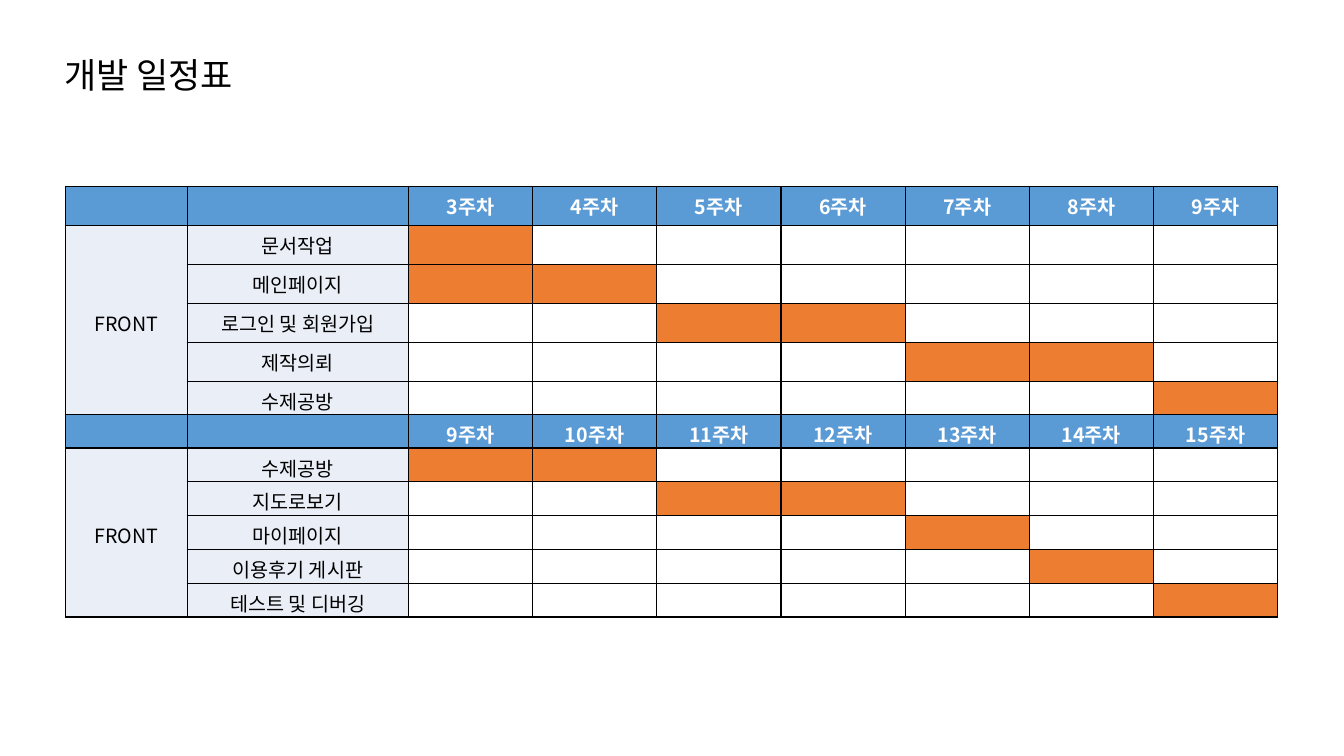
from dataclasses import dataclass

import lxml.etree
import pptx
import pptx.dml.color
import pptx.enum.text
import pptx.oxml.ns
import pptx.slide
import pptx.table
import pptx.text.text
import pptx.util

Cm = pptx.util.Cm
Pt = pptx.util.Pt
RGBColor = pptx.dml.color.RGBColor
Align = pptx.enum.text.PP_ALIGN
Anchor = pptx.enum.text.MSO_ANCHOR
qn = pptx.oxml.ns.qn

FONT = "Noto Sans CJK KR"
BLUE = RGBColor(0x5B, 0x9B, 0xD5)
PALE = RGBColor(0xEA, 0xEF, 0xF7)
ORANGE = RGBColor(0xED, 0x7D, 0x31)
WHITE = RGBColor(0xFF, 0xFF, 0xFF)
BLACK = RGBColor(0x00, 0x00, 0x00)

LEFT = 1.65
WEEKS = 7
WIDTHS = [3.07, 5.57] + [3.13] * WEEKS


@dataclass
class Task:
    name: str
    start: int
    end: int


@dataclass
class Plan:
    top: float
    height: float
    base: float
    first: int
    tasks: list[Task]


PLANS = [
    Plan(4.7, 0.98, 0.13, 3, [
        Task("문서작업", 3, 3),
        Task("메인페이지", 3, 4),
        Task("로그인 및 회원가입", 5, 6),
        Task("제작의뢰", 7, 8),
        Task("수제공방", 9, 9),
    ]),
    Plan(10.44, 0.85, 0, 9, [
        Task("수제공방", 9, 10),
        Task("지도로보기", 11, 12),
        Task("마이페이지", 13, 13),
        Task("이용후기 게시판", 14, 14),
        Task("테스트 및 디버깅", 15, 15),
    ]),
]


def style(para: pptx.text.text._Paragraph, size: float, color: RGBColor,
          bold: bool = False) -> None:
    font = para.font
    font.name = FONT
    font.size = Pt(size)
    font.bold = bold
    font.color.rgb = color
    latin = font._element.find(qn("a:latin"))
    east = lxml.etree.Element(qn("a:ea"), typeface=FONT)
    latin.addnext(east)


def frame(cell: pptx.table._Cell) -> None:
    props = cell._tc.get_or_add_tcPr()
    for side in ("lnL", "lnR", "lnT", "lnB"):
        line = lxml.etree.SubElement(props, qn(f"a:{side}"), w=str(Pt(1)))
        fill = lxml.etree.SubElement(line, qn("a:solidFill"))
        lxml.etree.SubElement(fill, qn("a:srgbClr"), val=str(BLACK))


def paint(cell: pptx.table._Cell, color: RGBColor) -> None:
    frame(cell)
    cell.fill.solid()
    cell.fill.fore_color.rgb = color
    cell.margin_top = cell.margin_bottom = 0


def write(cell: pptx.table._Cell, text: str, base: float,
          color: RGBColor = BLACK, bold: bool = False) -> None:
    cell.text = text
    cell.vertical_anchor = Anchor.MIDDLE
    cell.margin_top = Cm(0.13)
    cell.margin_bottom = Cm(base)
    para = cell.text_frame.paragraphs[0]
    para.alignment = Align.CENTER
    style(para, 14, color, bold)


def draw(slide: pptx.slide.Slide, plan: Plan) -> None:
    count = len(plan.tasks) + 1
    table = slide.shapes.add_table(
        count, len(WIDTHS), Cm(LEFT), Cm(plan.top),
        Cm(sum(WIDTHS)), Cm(plan.height * count)).table
    table.first_row = table.horz_banding = False
    for col, width in zip(table.columns, WIDTHS):
        col.width = Cm(width)
    for row in table.rows:
        row.height = Cm(plan.height)

    for col in range(len(WIDTHS)):
        paint(table.cell(0, col), BLUE)
    for step in range(WEEKS):
        write(table.cell(0, step + 2), f"{plan.first + step}주차",
              plan.base, WHITE, True)

    for row, task in enumerate(plan.tasks, 1):
        paint(table.cell(row, 0), PALE)
        paint(table.cell(row, 1), PALE)
        write(table.cell(row, 1), task.name, plan.base)
        for step in range(WEEKS):
            busy = task.start <= plan.first + step <= task.end
            paint(table.cell(row, step + 2), ORANGE if busy else WHITE)

    table.cell(1, 0).merge(table.cell(count - 1, 0))
    write(table.cell(1, 0), "FRONT", plan.base)


def head(slide: pptx.slide.Slide, text: str) -> None:
    title = slide.shapes.title
    title.left, title.top = Cm(1.37), Cm(1.22)
    title.width, title.height = Cm(5.28), Cm(1.32)
    body = title.text_frame
    body.text = text
    body.word_wrap = False
    body.auto_size = pptx.enum.text.MSO_AUTO_SIZE.NONE
    body.vertical_anchor = Anchor.MIDDLE
    para = body.paragraphs[0]
    para.alignment = Align.LEFT
    style(para, 25, BLACK)


def main() -> None:
    deck = pptx.Presentation()
    deck.slide_width, deck.slide_height = Cm(33.87), Cm(19.05)
    slide = deck.slides.add_slide(deck.slide_layouts[5])
    head(slide, "개발 일정표")
    for plan in PLANS:
        draw(slide, plan)
    deck.save("out.pptx")


if __name__ == "__main__":
    main()
